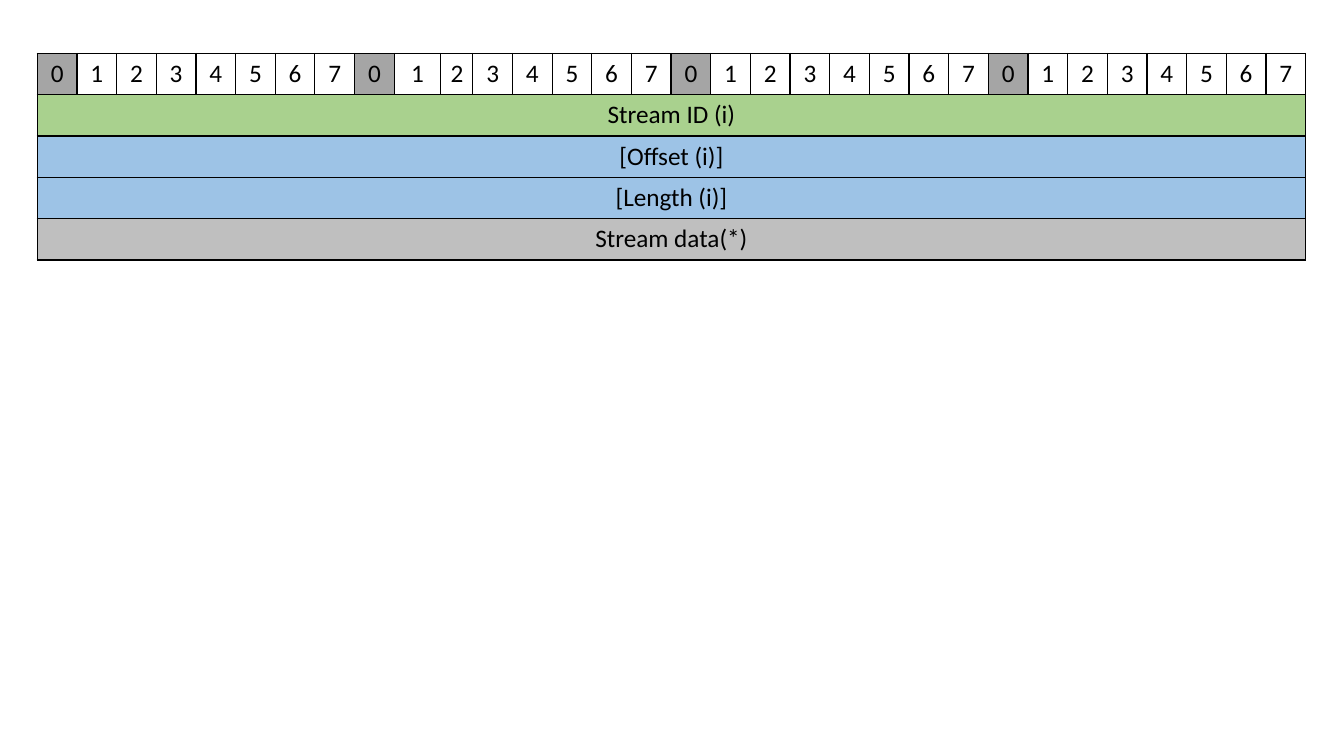
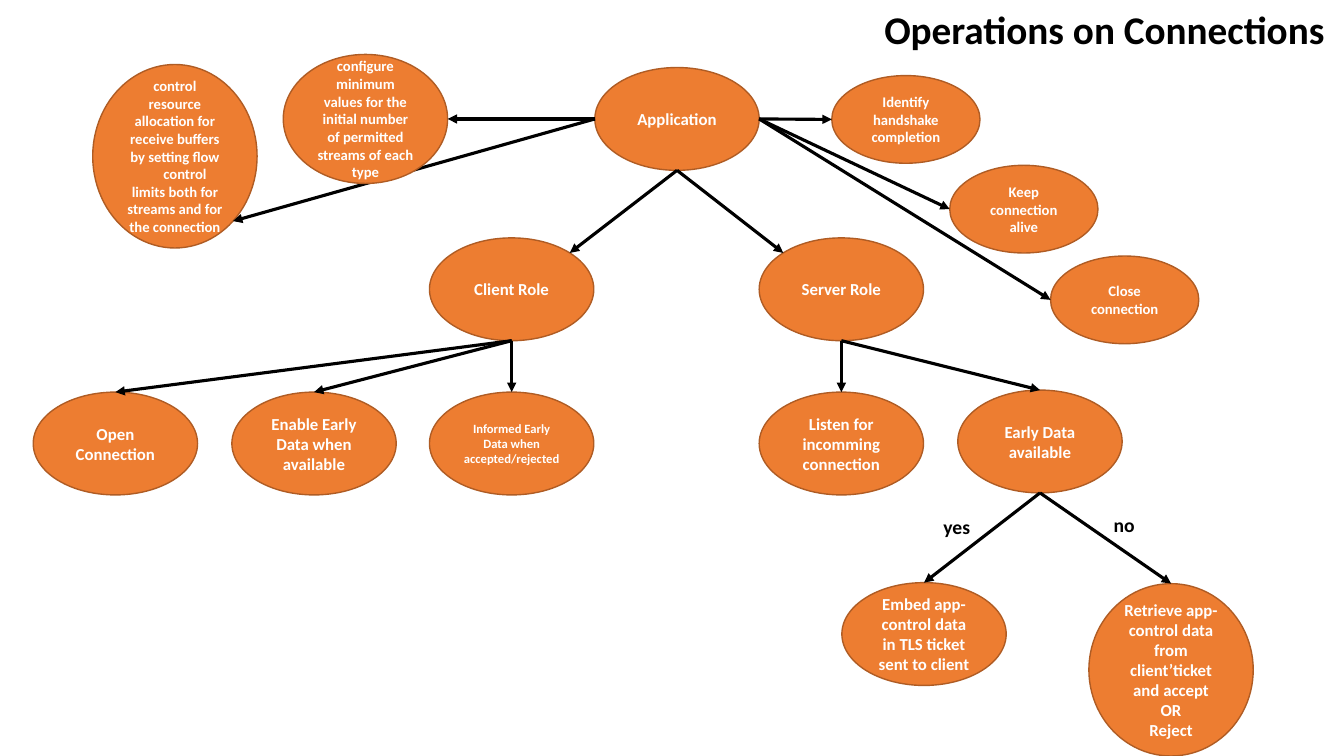
from math import cos, pi, sin

from lxml.etree import SubElement
from pptx import Presentation
from pptx.dml.color import RGBColor
from pptx.enum.shapes import MSO_CONNECTOR, MSO_SHAPE
from pptx.enum.text import MSO_ANCHOR, MSO_AUTO_SIZE, PP_ALIGN
from pptx.oxml.ns import qn
from pptx.util import Inches, Pt

COLORS = {
    "ink": "000000",
    "paper": "FFFFFF",
    "node": "ED7D31",
    "edge": "AF5C24",
    "mark": "A5A5A5",
    "green": "A9D18E",
    "blue": "9DC3E6",
    "gray": "BFBFBF",
}
FONT = "Calibri"
TITLE_ONLY, BLANK = 5, 6
# Ellipse connection sites run counterclockwise from the top in steps of 45°.
TOP, HIGH_LEFT, LEFT, BOTTOM, LOW_RIGHT, RIGHT, HIGH_RIGHT = 0, 1, 2, 4, 5, 6, 7


def color(name):
    return RGBColor.from_string(COLORS[name])


def site(shape, index):
    """Return the point of an ellipse's connection site."""
    angle = index * pi / 4
    x = shape.left + shape.width / 2 * (1 - sin(angle))
    y = shape.top + shape.height / 2 * (1 - cos(angle))
    return round(x), round(y)


class Deck:
    def __init__(self):
        self.prs = Presentation()
        self.prs.slide_width = Inches(13.33)
        self.prs.slide_height = Inches(7.5)
        self.slide = None

    def add(self, layout):
        self.slide = self.prs.slides.add_slide(self.prs.slide_layouts[layout])

    def put(self, frame, text, size, ink="ink", bold=True, align=PP_ALIGN.CENTER):
        """Fill a text frame and set its font."""
        frame.text = text
        for par in frame.paragraphs:
            par.alignment = align
            font = par.font
            font.name, font.size, font.bold = FONT, Pt(size), bold
            font.color.rgb = color(ink)

    def title(self, text, x, y, w, h):
        box = self.slide.shapes.title
        box.left, box.top, box.width, box.height = map(Inches, (x, y, w, h))
        frame = box.text_frame
        frame.auto_size = MSO_AUTO_SIZE.NONE
        frame.vertical_anchor = MSO_ANCHOR.TOP
        self.put(frame, text, 28, align=PP_ALIGN.LEFT)

    def label(self, text, x, y, w, h):
        box = self.slide.shapes.add_textbox(*map(Inches, (x, y, w, h)))
        box.text_frame.word_wrap = True
        self.put(box.text_frame, text, 14)

    def node(self, text, x, y, w=1.63, h=1.02, size=12):
        oval = self.slide.shapes.add_shape(
            MSO_SHAPE.OVAL, *map(Inches, (x, y, w, h)))
        oval.shadow.inherit = False
        oval.fill.solid()
        oval.fill.fore_color.rgb = color("node")
        oval.line.color.rgb = color("edge")
        oval.line.width = Pt(1)
        frame = oval.text_frame
        frame.word_wrap = True
        frame.vertical_anchor = MSO_ANCHOR.MIDDLE
        self.put(frame, text, size, "paper")
        return oval

    def arrow(self, start, out, end, into):
        """Join two ellipses, glued to the given connection sites."""
        line = self.slide.shapes.add_connector(
            MSO_CONNECTOR.STRAIGHT, *site(start, out), *site(end, into))
        line.line.color.rgb = color("ink")
        line.line.width = Pt(2.25)
        SubElement(line.get_or_add_ln(), qn("a:tailEnd"), type="triangle")
        SubElement(line._element.spPr, qn("a:effectLst"))
        glue = line._element.find(".//" + qn("p:cNvCxnSpPr"))
        for tag, shape, index in (("a:stCxn", start, out), ("a:endCxn", end, into)):
            SubElement(glue, qn(tag), id=str(shape.shape_id), idx=str(index))

    def cell(self, cell, text, fill):
        props = cell._tc.get_or_add_tcPr()
        for side in ("a:lnL", "a:lnR", "a:lnT", "a:lnB"):
            edge = SubElement(props, qn(side), w=str(Pt(1)))
            paint = SubElement(edge, qn("a:solidFill"))
            SubElement(paint, qn("a:srgbClr"), val=COLORS["ink"])
        cell.fill.solid()
        cell.fill.fore_color.rgb = color(fill)
        if text:
            self.put(cell.text_frame, text, 18, bold=False)

    def packet(self, x, y, widths, height, fields):
        """Draw a bit ruler above fields that span the whole word."""
        count = len(widths)
        rows = len(fields) + 1
        table = self.slide.shapes.add_table(
            rows, count, Inches(x), Inches(y),
            Inches(sum(widths)), Inches(height * rows)).table
        table.first_row = table.horz_banding = False
        for col, width in zip(table.columns, widths):
            col.width = Inches(width)
        for row in table.rows:
            row.height = Inches(height)
        for bit in range(count):
            self.cell(table.cell(0, bit), str(bit % 8), "paper" if bit % 8 else "mark")
        for row, (text, fill) in enumerate(fields, 1):
            table.cell(row, 0).merge(table.cell(row, count - 1))
            for bit in range(count):
                self.cell(table.cell(row, bit), "" if bit else text, fill)


def frame_slide(deck):
    deck.add(BLANK)
    wide, slim, total = 0.46, 0.32, 12.58
    widths = [(total - wide - slim) / 30] * 32
    widths[9:11] = wide, slim
    deck.packet(0.37, 0.53, widths, 0.41, [
        ("Stream ID (i)", "green"),
        ("[Offset (i)]", "blue"),
        ("[Length (i)]", "blue"),
        ("Stream data(*)", "gray"),
    ])


def tree_slide(deck):
    deck.add(TITLE_ONLY)
    deck.title("Operations on Connections", 8.67, 0, 4.67, 0.57)

    app = deck.node("Application", 5.9, 0.67)
    flow = deck.node(
        "control resource allocation for receive buffers by setting flow\n"
        "control limits both for streams and for the connection",
        0.92, 0.64, h=1.82, size=10.5)
    last = flow.text_frame.paragraphs[1]
    last._p.get_or_add_pPr().set("indent", str(Inches(0.2)))
    deck.arrow(app, LEFT, flow, LOW_RIGHT)
    limit = deck.node(
        "configure minimum values for the initial number of permitted "
        "streams of each type", 2.81, 0.54, h=1.28, size=10.5)
    deck.arrow(app, LEFT, limit, RIGHT)

    for text, x, y in (
        ("Identify handshake completion", 8.25, 0.75),
        ("Keep connection alive", 9.42, 1.64),
        ("Close connection", 10.42, 2.54),
    ):
        task = deck.node(text, x, y, 1.47, 0.87, 10.5)
        deck.arrow(app, RIGHT, task, LEFT)

    client = deck.node("Client Role", 4.26, 2.36)
    server = deck.node("Server Role", 7.53, 2.36)
    deck.arrow(app, BOTTOM, client, HIGH_RIGHT)
    deck.arrow(app, BOTTOM, server, HIGH_LEFT)

    early = deck.node("Early Data available", 9.5, 3.87)
    deck.arrow(server, BOTTOM, early, TOP)
    for owner, text, x, y, h, size in (
        (client, "Open Connection", 0.33, 3.89, 1.02, 12),
        (client, "Enable Early Data when available", 2.3, 3.89, 1.02, 12),
        (client, "Informed Early Data when accepted/rejected", 4.26, 3.89, 1.02, 9),
        (server, "Listen for incomming connection", 7.53, 3.89, 1.02, 12),
        (early, "Embed app-control data in TLS ticket sent to client",
         8.35, 5.78, 1.02, 12),
        (early, "Retrieve app-control data from client’ticket and accept OR\nReject",
         10.8, 5.79, 1.71, 12),
    ):
        leaf = deck.node(text, x, y, h=h, size=size)
        deck.arrow(owner, BOTTOM, leaf, TOP)

    deck.label("yes", 8.01, 5.06, 2.96, 0.34)
    deck.label("no", 9.67, 5.04, 2.96, 0.34)


def main():
    deck = Deck()
    frame_slide(deck)
    tree_slide(deck)
    deck.prs.save("out.pptx")


if __name__ == "__main__":
    main()
